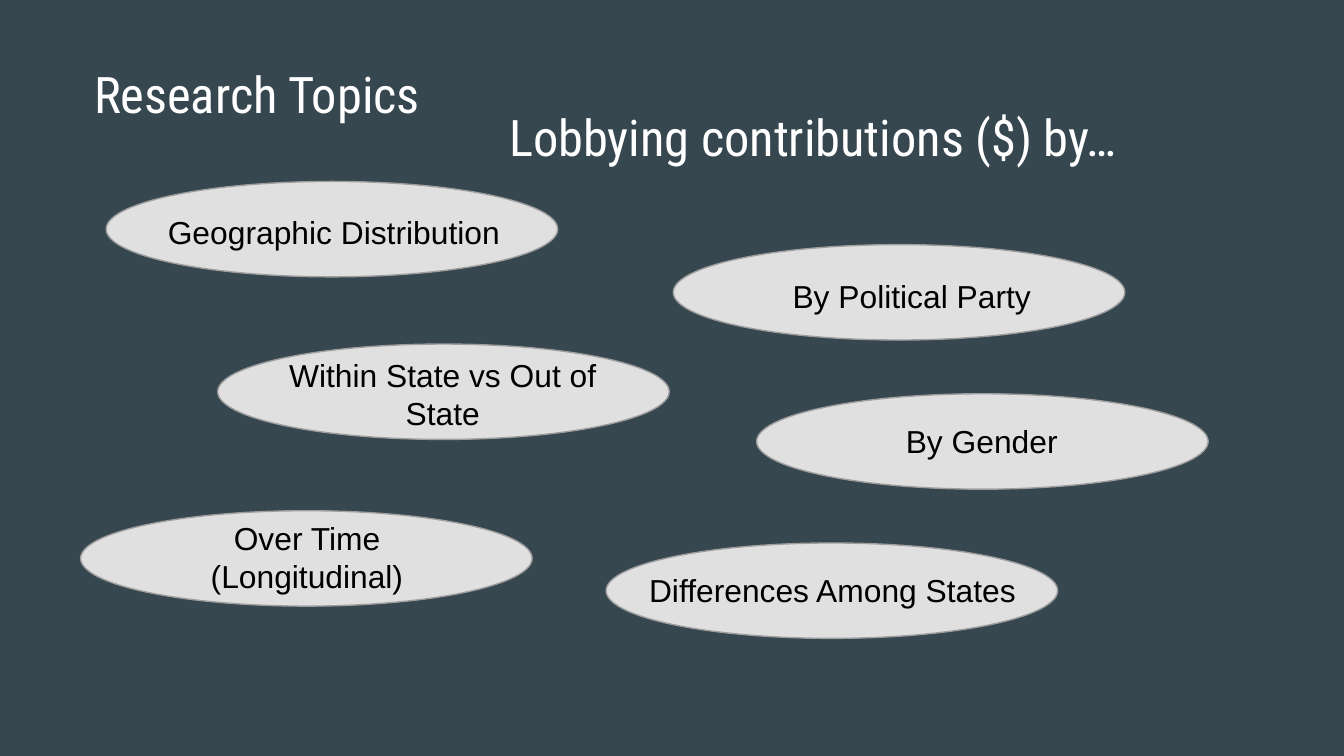
from pptx import Presentation
from pptx.dml.color import RGBColor
from pptx.enum.shapes import MSO_SHAPE
from pptx.enum.text import MSO_ANCHOR, MSO_AUTO_SIZE, PP_ALIGN
from pptx.util import Inches, Pt


def paint(target, color):
    target.fill.solid()
    target.fill.fore_color.rgb = RGBColor.from_string(color)


def write(shape, text, font, size, color, align):
    frame = shape.text_frame
    frame.text = text
    frame.word_wrap = True
    frame.auto_size = MSO_AUTO_SIZE.NONE
    frame.vertical_anchor = MSO_ANCHOR.TOP
    frame.margin_left = frame.margin_right = Inches(0.1)
    frame.margin_top = frame.margin_bottom = Inches(0.1)
    for line in frame.paragraphs:
        line.alignment = align
        for run in line.runs:
            run.font.name = font
            run.font.size = Pt(size)
            run.font.color.rgb = RGBColor.from_string(color)


def place(shape, left, top, width, height):
    shape.left, shape.top = Inches(left), Inches(top)
    shape.width, shape.height = Inches(width), Inches(height)


def add_head(shape, text, left, top, width):
    place(shape, left, top, width, 0.63)
    write(shape, text, "Roboto Condensed", 27, "FFFFFF", PP_ALIGN.LEFT)


def add_topic(slide, text, left, top, shift, drop, high):
    oval = slide.shapes.add_shape(
        MSO_SHAPE.OVAL, Inches(left), Inches(top), Inches(3.36), Inches(0.71))
    oval.shadow.inherit = False
    paint(oval, "E0E0E0")
    paint(oval.line, "9E9E9E")
    oval.line.width = Pt(0.75)
    label = slide.shapes.add_textbox(
        Inches(left + shift), Inches(top + drop), Inches(3.05), Inches(high))
    write(label, text, "Arial", 17, "000000", PP_ALIGN.CENTER)


def build_topics(deck):
    slide = deck.slides.add_slide(deck.slide_layouts[5])
    paint(slide.background, "37474F")
    add_head(slide.shapes.title, "Research Topics", 0.6, 0.37, 9.32)
    topics = [
        ("Geographic Distribution", 0.79, 1.35, 0.17, 0.13, 0.49),
        ("By Political Party", 5.01, 1.82, 0.25, 0.14, 0.49),
        ("Within State vs Out of State", 1.62, 2.56, 0.15, -0.01, 0.77),
        ("By Gender", 5.63, 2.93, 0.15, 0.11, 0.49),
        ("Over Time\n(Longitudinal)", 0.6, 3.8, 0.16, -0.04, 0.77),
        ("Differences Among States", 4.51, 4.04, 0.16, 0.11, 0.49),
    ]
    for topic in topics:
        add_topic(slide, *topic)
    lead = slide.shapes.add_textbox(0, 0, 0, 0)
    add_head(lead, "Lobbying contributions ($) by…", 3.69, 0.69, 6.23)


deck = Presentation()
deck.slide_width, deck.slide_height = Inches(10), Inches(90 / 16)
build_topics(deck)
deck.save("out.pptx")
